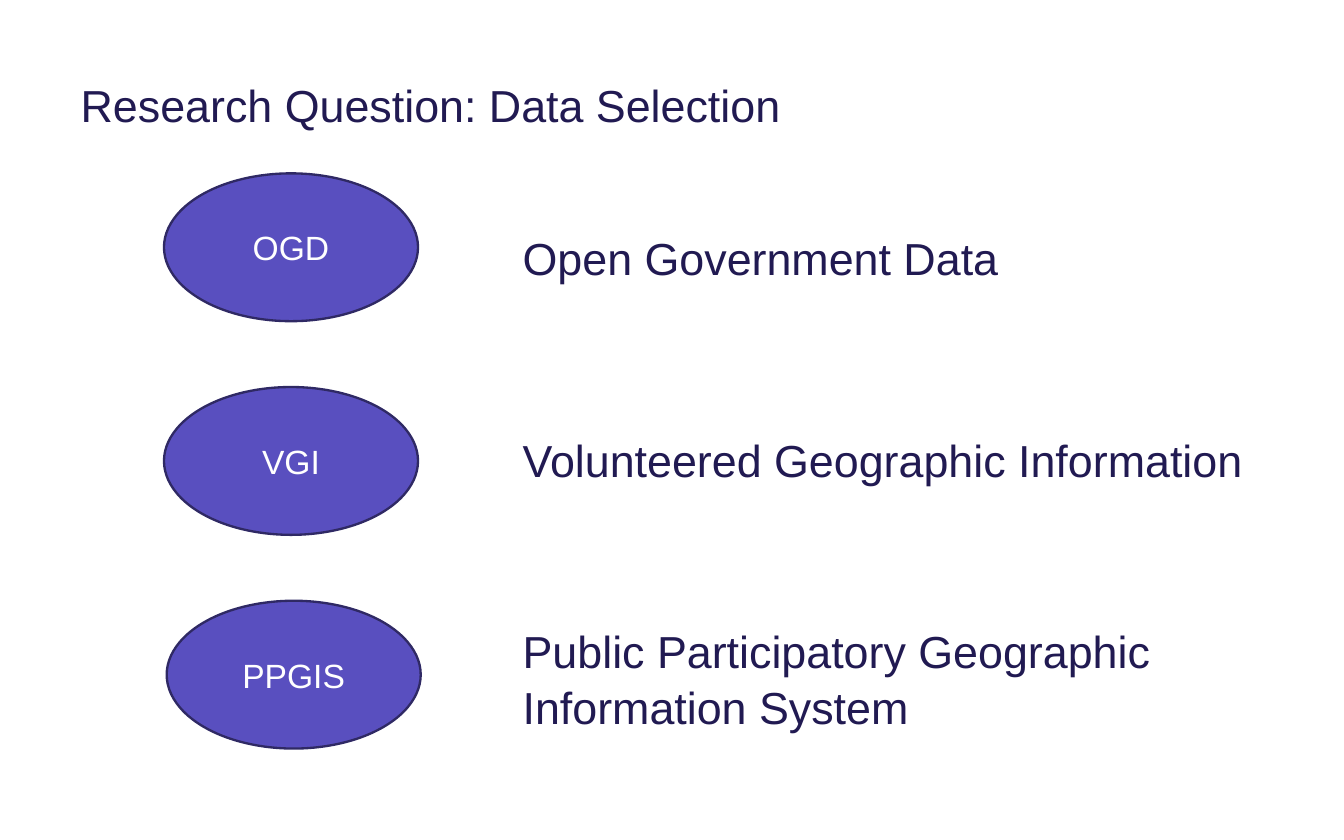
from dataclasses import dataclass

from pptx import Presentation
from pptx.dml.color import RGBColor
from pptx.enum.shapes import MSO_SHAPE as Shape
from pptx.enum.text import MSO_ANCHOR as Anchor, MSO_AUTO_SIZE as AutoSize, PP_ALIGN as Align
from pptx.slide import Slide
from pptx.text.text import TextFrame
from pptx.util import Inches, Pt

NAVY = RGBColor(0x21, 0x1A, 0x52)
PURPLE = RGBColor(0x59, 0x4F, 0xBF)
OUTLINE = RGBColor(0x2F, 0x29, 0x64)
WHITE = RGBColor(0xFF, 0xFF, 0xFF)
FONT = "Arial"
FIRST_TOP = 1.29
ROW_STEP = 1.59
LABEL_LEFT = 3.79


@dataclass(frozen=True)
class DataSource:
    acronym: str
    name: str
    oval_left: float
    label_top: float
    label_width: float
    label_height: float


SOURCES = [
    DataSource("OGD", "Open Government Data", 1.22, 1.65, 4.29, 0.5),
    DataSource("VGI", "Volunteered Geographic Information", 1.22, 3.15, 5.71, 0.5),
    DataSource("PPGIS", "Public Participatory Geographic Information System", 1.24, 4.57, 6.19, 0.91),
]


def write(tf: TextFrame, text: str, size: int, color: RGBColor,
          align: Align = Align.LEFT, spacing: float = 1.05) -> None:
    tf.word_wrap = True
    p = tf.paragraphs[0]
    p.alignment = align
    p.line_spacing = spacing
    r = p.add_run()
    r.text = text
    r.font.name = FONT
    r.font.size = Pt(size)
    r.font.color.rgb = color


def add_title(s: Slide, text: str) -> None:
    sp = s.shapes.title
    sp.left, sp.top = Inches(0.5), Inches(0.25)
    sp.width, sp.height = Inches(9), Inches(1.04)
    sp.text_frame.vertical_anchor = Anchor.MIDDLE
    write(sp.text_frame, text, 24, NAVY)


def add_oval(s: Slide, source: DataSource, top: float) -> None:
    sp = s.shapes.add_shape(Shape.OVAL, Inches(source.oval_left), Inches(top),
                            Inches(1.89), Inches(1.1))
    sp.shadow.inherit = False
    sp.fill.solid()
    sp.fill.fore_color.rgb = PURPLE
    sp.line.color.rgb = OUTLINE
    sp.line.width = Pt(1.25)
    sp.text_frame.vertical_anchor = Anchor.MIDDLE
    write(sp.text_frame, source.acronym, 18, WHITE, Align.CENTER, 1.0)


def add_label(s: Slide, source: DataSource) -> None:
    sp = s.shapes.add_textbox(Inches(LABEL_LEFT), Inches(source.label_top),
                              Inches(source.label_width), Inches(source.label_height))
    write(sp.text_frame, source.name, 24, NAVY)
    sp.text_frame.auto_size = AutoSize.SHAPE_TO_FIT_TEXT


def main() -> None:
    prs = Presentation()
    prs.slide_width, prs.slide_height = Inches(10), Inches(6.25)
    s = prs.slides.add_slide(prs.slide_layouts[5])
    s.background.fill.solid()
    s.background.fill.fore_color.rgb = WHITE
    add_title(s, "Research Question: Data Selection")
    for row, source in enumerate(SOURCES):
        add_oval(s, source, FIRST_TOP + row * ROW_STEP)
    for source in SOURCES:
        add_label(s, source)
    prs.save("out.pptx")


if __name__ == "__main__":
    main()
